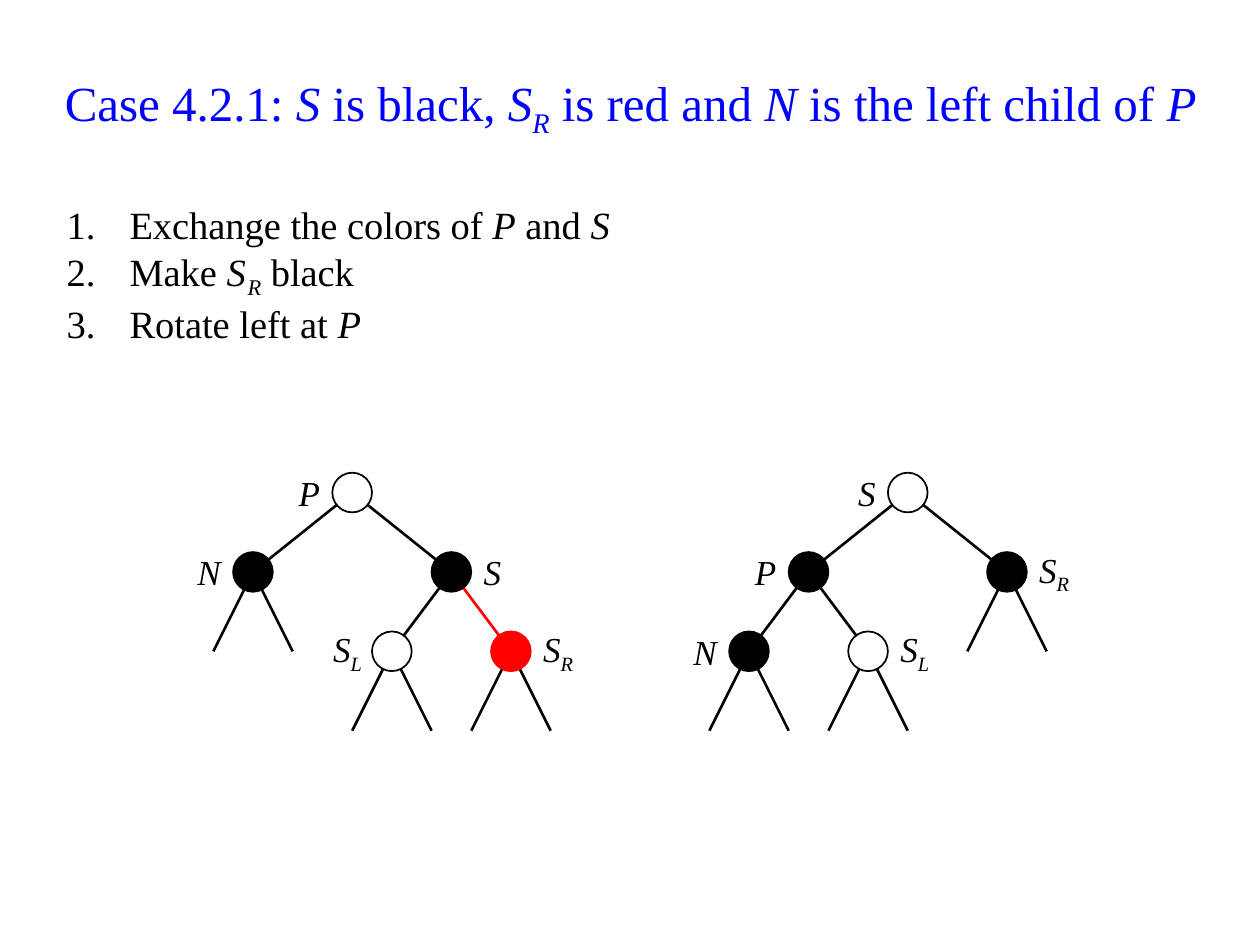
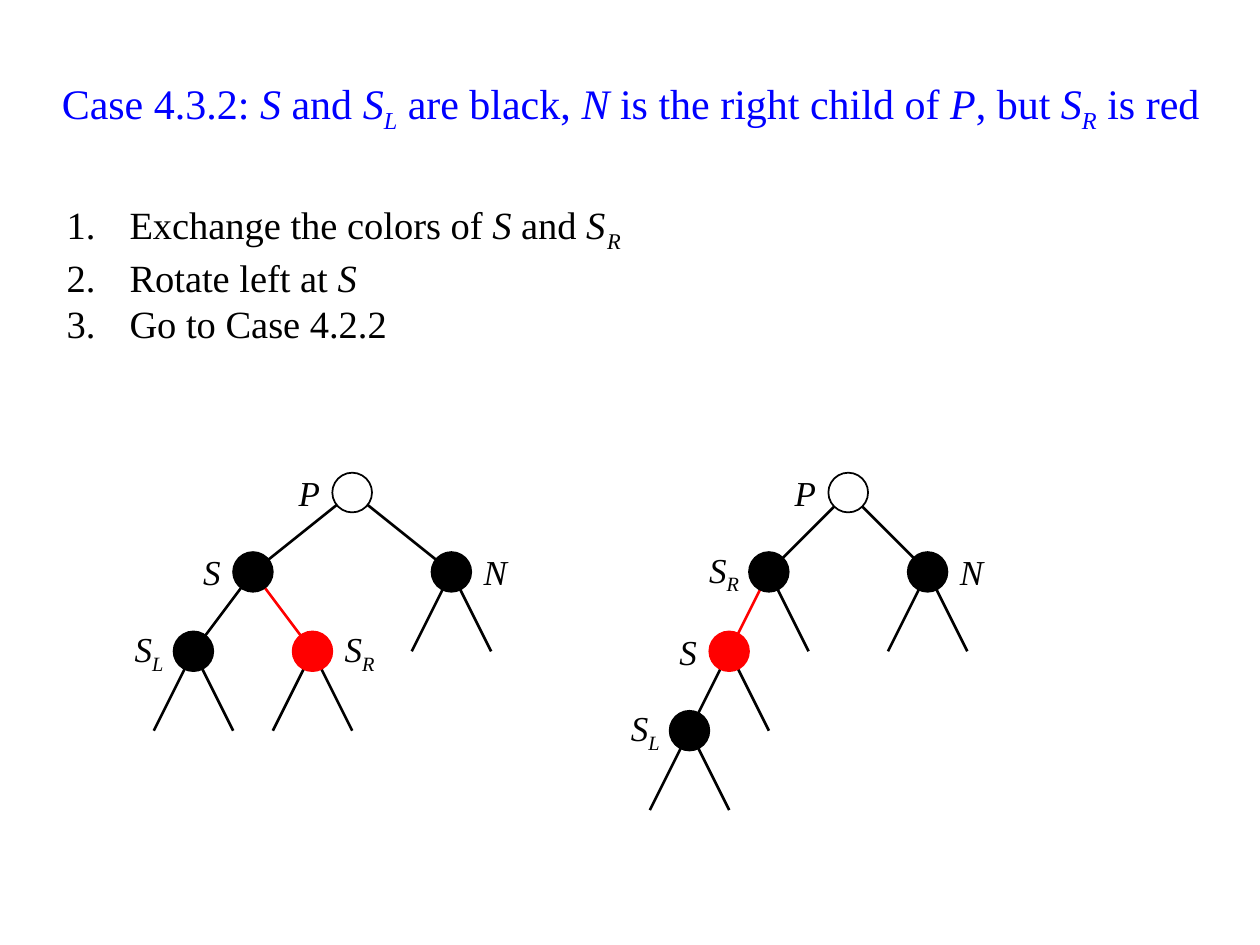
from pptx import Presentation
from pptx.dml.color import RGBColor
from pptx.enum.shapes import MSO_CONNECTOR, MSO_SHAPE
from pptx.enum.text import MSO_ANCHOR, PP_ALIGN
from pptx.oxml.ns import qn
from pptx.util import Cm, Inches, Pt
from lxml.etree import SubElement

FONT = "Times New Roman"
COLORS = {"title": "0000FF", "black": "000000", "white": "FFFFFF", "red": "FF0000"}

# Text between bars is a variable: its first letter is italic, the rest a subscript.
# A node is: name, column, level, label side, fill, parent.
SLIDES = [
    {
        "title": "Case 4.2.1: |S| is black, |SR| is red and |N| is the left child of |P|",
        "title_size": 28,
        "steps": ["Exchange the colors of |P| and |S|", "Make |SR| black", "Rotate left at |P|"],
        "trees": [
            (0, [
                ("P", 0, 0, "left", "white", None),
                ("N", -5, 1, "left", "black", "P"),
                ("S", 5, 1, "right", "black", "P"),
                ("SL", 2, 2, "left", "white", "S"),
                ("SR", 8, 2, "right", "red", "S"),
            ]),
            (28, [
                ("S", 0, 0, "left", "white", None),
                ("P", -5, 1, "left", "black", "S"),
                ("SR", 5, 1, "right", "black", "S"),
                ("N", -8, 2, "left", "black", "P"),
                ("SL", -2, 2, "right", "white", "P"),
            ]),
        ],
    },
    {
        "title": "Case 4.3.2: |S| and |SL| are black, |N| is the right child of |P|, but |SR| is red",
        "title_size": 24,
        "steps": ["Exchange the colors of |S| and |SR|", "Rotate left at |S|", "Go to Case 4.2.2"],
        "trees": [
            (0, [
                ("P", 0, 0, "left", "white", None),
                ("S", -5, 1, "left", "black", "P"),
                ("N", 5, 1, "right", "black", "P"),
                ("SL", -8, 2, "left", "black", "S"),
                ("SR", -2, 2, "right", "red", "S"),
            ]),
            (25, [
                ("P", 0, 0, "left", "white", None),
                ("SR", -4, 1, "left", "black", "P"),
                ("N", 4, 1, "right", "black", "P"),
                ("S", -6, 2, "left", "red", "SR"),
                ("SL", -8, 3, "left", "black", "S"),
            ]),
        ],
    },
]

COLUMN, LEVEL = Cm(0.4), Cm(1.6)
ROOT_LEFT, ROOT_TOP = Cm(7.1), Cm(9.93)
RADIUS = COLUMN
LABEL_WIDTH, LABEL_HEIGHT = 3 * COLUMN, LEVEL
STUB_COLUMNS = 2


def color(name):
    return RGBColor.from_string(COLORS[name])


def add_run(paragraph, text, size, color_name, italic=False):
    run = paragraph.add_run()
    run.text = text
    run.font.name = FONT
    run.font.size = Pt(size)
    run.font.italic = italic
    run.font.color.rgb = color(color_name)
    return run.font


def add_runs(paragraph, markup, size, color_name, subscript_gap=0):
    for index, piece in enumerate(markup.split("|")):
        if index % 2 == 0:
            if piece:
                add_run(paragraph, piece, size, color_name)
            continue
        letter, subscript = piece[0], piece[1:]
        font = add_run(paragraph, letter, size, color_name, True)
        if subscript:
            properties = font._element
            if subscript_gap:
                properties.set("spc", str(subscript_gap * 100))
            font = add_run(paragraph, subscript, size, color_name, True)
            font._element.set("baseline", "-25000")


def add_text_frame(slide, left, top, width, height, anchor):
    frame = slide.shapes.add_textbox(left, top, width, height).text_frame
    frame.word_wrap = True
    frame.vertical_anchor = anchor
    return frame


def add_title(slide, markup, size):
    frame = add_text_frame(slide, Inches(0.28), Inches(0.29), Inches(9.45), Inches(1.1), MSO_ANCHOR.MIDDLE)
    paragraph = frame.paragraphs[0]
    paragraph.alignment = PP_ALIGN.CENTER
    add_runs(paragraph, markup, size, "title")


def add_steps(slide, steps):
    frame = add_text_frame(slide, Inches(0.43), Inches(1.55), Inches(9.13), Inches(1.26), MSO_ANCHOR.TOP)
    for index, step in enumerate(steps):
        paragraph = frame.add_paragraph() if index else frame.paragraphs[0]
        properties = paragraph._p.get_or_add_pPr()
        properties.set("marL", str(Inches(0.5)))
        properties.set("indent", str(-Inches(0.5)))
        SubElement(properties, qn("a:buFont"), typeface=FONT)
        SubElement(properties, qn("a:buAutoNum"), type="arabicPeriod")
        add_runs(paragraph, step, 22, "black", subscript_gap=1)


def add_edge(slide, start, end, color_name):
    edge = slide.shapes.add_connector(MSO_CONNECTOR.STRAIGHT, *start, *end)
    edge.line.color.rgb = color(color_name)
    edge.line.width = Pt(1.5)
    SubElement(edge._element.spPr, qn("a:effectLst"))


def add_node(slide, center, fill):
    x, y = center
    circle = slide.shapes.add_shape(MSO_SHAPE.OVAL, x - RADIUS, y - RADIUS, 2 * RADIUS, 2 * RADIUS)
    circle.shadow.inherit = False
    circle.fill.solid()
    circle.fill.fore_color.rgb = color(fill)
    circle.line.color.rgb = color("red" if fill == "red" else "black")
    circle.line.width = Pt(1)


def add_label(slide, center, name, side):
    x, y = center
    left = x - RADIUS - LABEL_WIDTH if side == "left" else x + RADIUS
    frame = add_text_frame(slide, left, y - LABEL_HEIGHT // 2, LABEL_WIDTH, LABEL_HEIGHT, MSO_ANCHOR.MIDDLE)
    if len(name) > 1:
        frame.margin_right = Inches(0.08)
    paragraph = frame.paragraphs[0]
    paragraph.alignment = PP_ALIGN.RIGHT if side == "left" else PP_ALIGN.LEFT
    add_runs(paragraph, f"|{name}|", 20, "black")


def add_tree(slide, root_column, nodes):
    def point(column, level):
        return ROOT_LEFT + (root_column + column) * COLUMN, ROOT_TOP + level * LEVEL

    for name, column, level, side, fill, parent in nodes:
        children = {node[1] > column: node for node in nodes if node[5] == name}
        for is_right in (False, True):
            if is_right in children:
                child = children[is_right]
                end_column, edge_color = child[1], "red" if child[4] == "red" else "black"
            else:
                end_column = column + (STUB_COLUMNS if is_right else -STUB_COLUMNS)
                edge_color = "black"
            add_edge(slide, point(column, level), point(end_column, level + 1), edge_color)
    for name, column, level, side, fill, parent in nodes:
        add_node(slide, point(column, level), fill)
        add_label(slide, point(column, level), name, side)


def main():
    presentation = Presentation()
    presentation.slide_width, presentation.slide_height = Inches(10), Inches(7.5)
    for content in SLIDES:
        slide = presentation.slides.add_slide(presentation.slide_layouts[6])
        add_title(slide, content["title"], content["title_size"])
        add_steps(slide, content["steps"])
        for root_column, nodes in content["trees"]:
            add_tree(slide, root_column, nodes)
    presentation.save("out.pptx")


if __name__ == "__main__":
    main()
